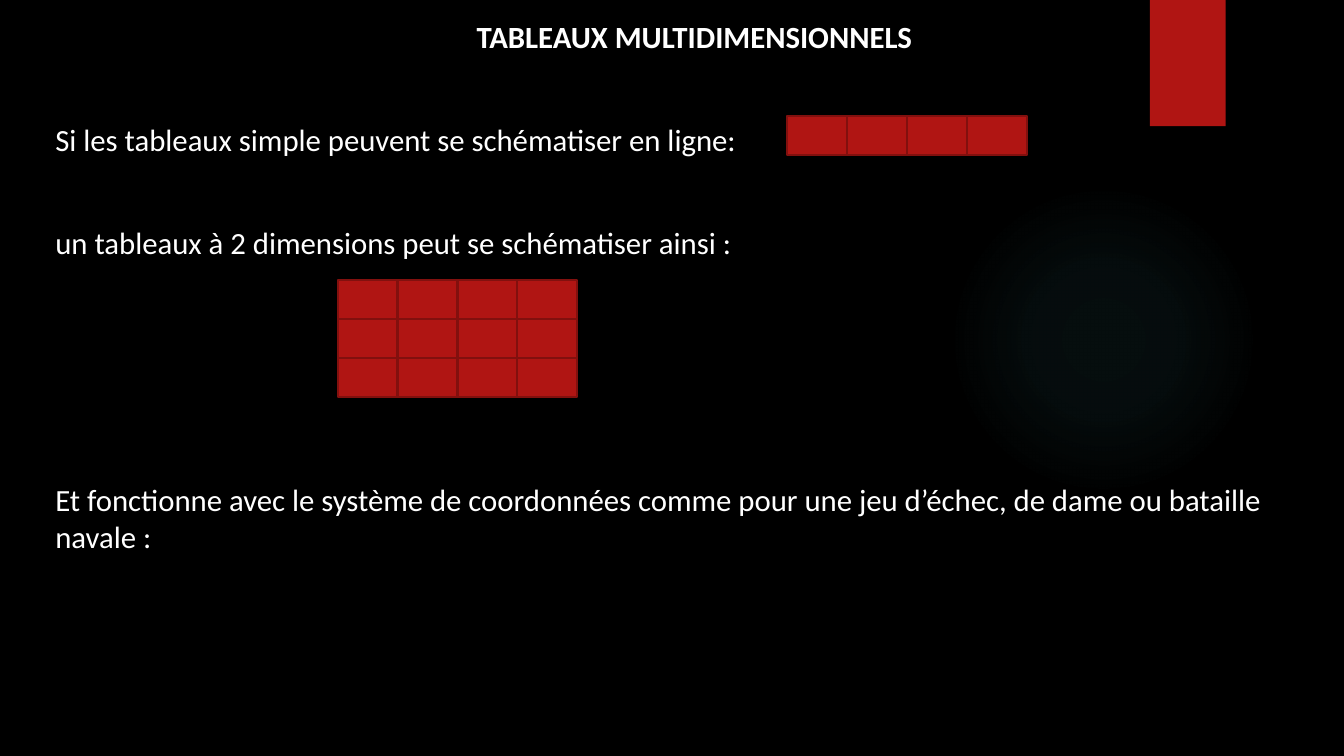
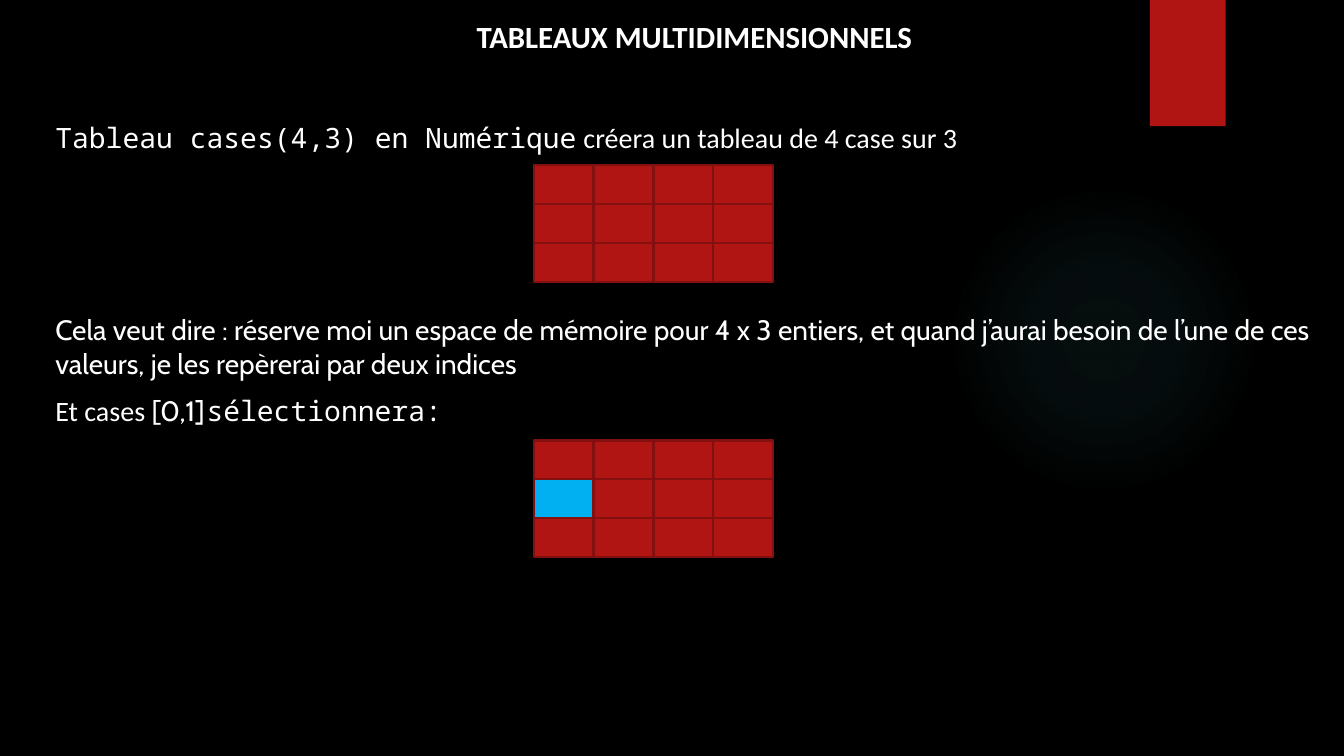
from lxml.etree import fromstring
from pptx import Presentation
from pptx.dml.color import RGBColor
from pptx.enum.shapes import MSO_SHAPE
from pptx.enum.text import MSO_ANCHOR, MSO_AUTO_SIZE, PP_ALIGN
from pptx.oxml.ns import nsdecls, qn
from pptx.util import Cm, Pt

BLACK = RGBColor(0x00, 0x00, 0x00)
WHITE = RGBColor(0xFF, 0xFF, 0xFF)
RED = RGBColor(0xB0, 0x15, 0x13)
DARK_RED = RGBColor(0x82, 0x10, 0x0E)
BLUE = RGBColor(0x00, 0xB0, 0xF0)
TEAL = RGBColor(0x50, 0xB9, 0xC1)

SANS = "Calibri"
HUMANIST = "Cabin"
MONO = "Noto Sans Mono"

TITLE = "TABLEAUX MULTIDIMENSIONNELS"
CELL_WIDTH = 1.51
CELL_HEIGHT = 0.98
GLOW_STOPS = [(0, 7), (36, 6), (69, 0)]


def write_text(para, text, font=SANS, size=20, bold=False, color=WHITE):
    span = para.add_run()
    span.text = text
    span.font.name = font
    span.font.size = Pt(size)
    span.font.bold = bold
    span.font.color.rgb = color


class Lesson:
    def __init__(self):
        self.deck = Presentation()
        self.deck.slide_width = Cm(33.87)
        self.deck.slide_height = Cm(19.05)
        self.layout = self.deck.slide_layouts[1]
        self.page = None
        self.style_layout()

    def style_layout(self):
        background = self.layout.background.fill
        background.solid()
        background.fore_color.rgb = BLACK
        title, body, *footers = self.layout.placeholders
        for footer in footers:
            self.layout.shapes.element.remove(footer.element)
        for holder, top, height in ((title, 0.33, 1.27), (body, 2.92, 16.13)):
            holder.left, holder.top = Cm(1.14), Cm(top)
            holder.width, holder.height = Cm(32.72), Cm(height)
            holder.text_frame.vertical_anchor = MSO_ANCHOR.TOP
            holder.text_frame.auto_size = MSO_AUTO_SIZE.NONE
        list_style = body.element.find(".//" + qn("a:lstStyle"))
        list_style.append(fromstring(
            f'<a:lvl1pPr {nsdecls("a")} marL="0" indent="0"><a:buNone/>'
            f'<a:tabLst><a:tab pos="{Cm(4.65)}" algn="l"/></a:tabLst></a:lvl1pPr>'))

    def decorate_layout(self):
        glow = self.add_block(MSO_SHAPE.OVAL, 23.9, 4.65, 7.82, 7.82, TEAL)
        solid = glow.element.spPr.find(qn("a:solidFill"))
        stops = "".join(
            f'<a:gs pos="{place * 1000}"><a:srgbClr val="{TEAL}">'
            f'<a:alpha val="{alpha * 1000}"/></a:srgbClr></a:gs>'
            for place, alpha in GLOW_STOPS)
        glow.element.spPr.replace(solid, fromstring(
            f'<a:gradFill {nsdecls("a")}><a:gsLst>{stops}</a:gsLst><a:path path="circle">'
            '<a:fillToRect l="50000" t="50000" r="50000" b="50000"/></a:path></a:gradFill>'))
        band = self.add_block(MSO_SHAPE.RECTANGLE, 28.98, 0, 1.91, 3.18, RED)
        for shape in (glow, band):
            self.layout.shapes.element.append(shape.element)

    def add_page(self, title):
        self.page = self.deck.slides.add_slide(self.layout)
        if len(self.deck.slides) == 1:
            self.decorate_layout()
        para = self.page.shapes.title.text_frame.paragraphs[0]
        para.alignment = PP_ALIGN.CENTER
        write_text(para, title, size=22, bold=True)

    def add_body(self, paragraphs, size):
        frame = self.page.placeholders[1].text_frame
        for index, (space, spans) in enumerate(paragraphs):
            para = frame.add_paragraph() if index else frame.paragraphs[0]
            para.space_before = Pt(space)
            for text, font in spans:
                write_text(para, text, font=font, size=size)

    def add_block(self, kind, left, top, width, height, color, line=None):
        shape = self.page.shapes.add_shape(kind, Cm(left), Cm(top), Cm(width), Cm(height))
        shape.shadow.inherit = False
        shape.fill.solid()
        shape.fill.fore_color.rgb = color
        if line is None:
            shape.line.fill.background()
        else:
            shape.line.color.rgb = line
            shape.line.width = Pt(1.5)
        return shape

    def add_grid(self, left, top, rows, columns=4, selected=None):
        for row in range(rows):
            for column in range(columns):
                color = BLUE if (row, column) == selected else RED
                self.add_block(MSO_SHAPE.RECTANGLE, left + column * CELL_WIDTH,
                               top + row * CELL_HEIGHT, CELL_WIDTH, CELL_HEIGHT,
                               color, line=DARK_RED)


def main():
    lesson = Lesson()

    lesson.add_page(TITLE)
    lesson.add_body([
        (0, [("Si les tableaux simple peuvent se schématiser en ligne:", SANS)]),
        (47, [("un tableaux à 2 dimensions peut se schématiser ainsi :", SANS)]),
        (157, [("Et fonctionne avec le système de coordonnées comme pour une jeu "
                "d’échec, de dame ou bataille navale :", SANS)]),
    ], size=22)
    lesson.add_grid(19.84, 2.92, rows=1)
    lesson.add_grid(8.51, 7.06, rows=3)

    lesson.add_page(TITLE)
    lesson.add_body([
        (0, [("Tableau cases(4,3) en Numérique", MONO),
             (" créera un tableau de 4 case sur 3", SANS)]),
        (113, [("Cela veut dire : réserve moi un espace de mémoire pour 4 x 3 entiers, "
                "et quand j’aurai besoin de l’une de ces valeurs, je les repèrerai "
                "par deux indices", HUMANIST)]),
        (10, [("Et cases", SANS), (" [0,1]", HUMANIST), ("\tsélectionnera:", MONO)]),
    ], size=20)
    lesson.add_grid(13.45, 4.17, rows=3)
    lesson.add_grid(13.45, 11.1, rows=3, selected=(1, 0))

    lesson.deck.save("out.pptx")


if __name__ == "__main__":
    main()
